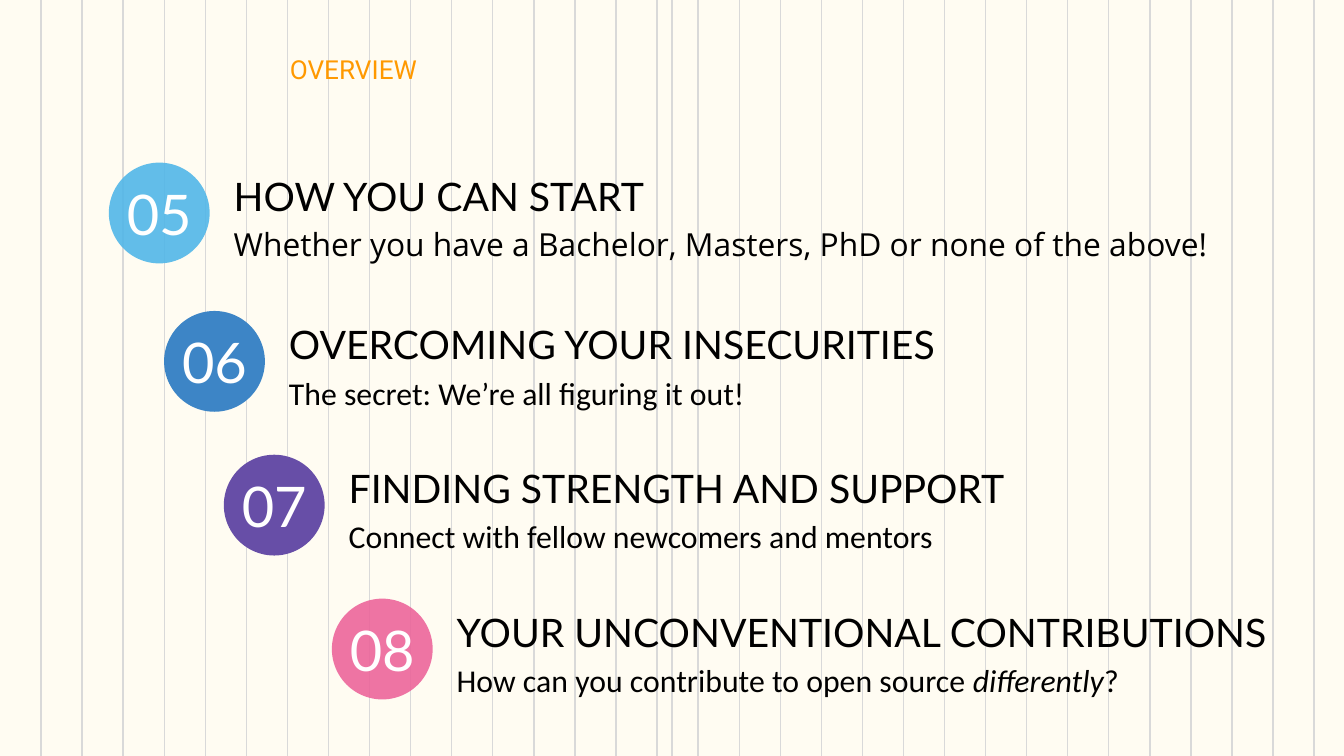
import pptx
import pptx.dml.color
import pptx.enum.shapes
import pptx.enum.text
import pptx.oxml
import pptx.oxml.ns
import pptx.util

Pt = pptx.util.Pt
ALIGN = pptx.enum.text.PP_ALIGN
ANCHOR = pptx.enum.text.MSO_ANCHOR
NSDECL = pptx.oxml.ns.nsdecls("a")

WIDTH, HEIGHT = 720, 405
STRIPE_GAP = 22
CIRCLE = 54

# number, left, top, colour, opacity %, heading, heading width,
# detail runs as (text, italic), detail width, detail font
ITEMS = [
    ("05", 58.3, 87.1, "4FB6E8", 89, "HOW YOU CAN START", 406.8,
     [("Whether you have a Bachelor, Masters, PhD or none of the above!", False)],
     537.1, "Open Sans"),
    ("06", 87.9, 166.6, "3D85C6", 100, "OVERCOMING YOUR INSECURITIES", 500.4,
     [("The secret: We’re all figuring it out!", False)], 319, "Calibri"),
    ("07", 119.9, 243.6, "674EA7", 100, "FINDING STRENGTH AND SUPPORT", 455,
     [("Connect with fellow newcomers and mentors", False)], 486.7, "Calibri"),
    ("08", 177.8, 320.7, "EC6299", 88, "YOUR UNCONVENTIONAL CONTRIBUTIONS", 509,
     [("How can you contribute to open source ", False),
      ("differently", True), ("?", False)], 545, "Calibri"),
]


def rgb(value):
    return pptx.dml.color.RGBColor.from_string(value)


def write(tf, runs, font, size, color="000000", align=ALIGN.LEFT,
          anchor=ANCHOR.TOP, inset=7.2, spacing=None):
    """Fill a text frame with one paragraph of (text, italic) runs."""
    tf.word_wrap = True
    tf.auto_size = pptx.enum.text.MSO_AUTO_SIZE.NONE
    tf.vertical_anchor = anchor
    tf.margin_left = tf.margin_right = Pt(7.2)
    tf.margin_top = tf.margin_bottom = Pt(inset)
    p = tf.paragraphs[0]
    p.alignment = align
    p.line_spacing = spacing
    for text, italic in runs:
        r = p.add_run()
        r.text = text
        r.font.name = font
        r.font.size = Pt(size)
        r.font.italic = italic
        r.font.color.rgb = rgb(color)


class Deck:
    """Holds the presentation, its style and the current slide."""
    background = "FFFCF2"
    stripe = "D9D9D9"
    accent = "FF9900"
    display_font = "Lato"
    title_font = "Roboto"

    def __init__(self):
        self.prs = pptx.Presentation()
        self.prs.slide_width, self.prs.slide_height = Pt(WIDTH), Pt(HEIGHT)
        self.s = self.prs.slides.add_slide(self.prs.slide_layouts[5])
        fill = self.s.background.fill
        fill.solid()
        fill.fore_color.rgb = rgb(self.background)

    def vertical_line(self, x):
        line = self.s.shapes.add_connector(
            pptx.enum.shapes.MSO_CONNECTOR.STRAIGHT, Pt(x), Pt(0), Pt(x), Pt(HEIGHT))
        line.line.color.rgb = rgb(self.stripe)
        line.line.width = Pt(0.75)
        line._element.spPr.append(pptx.oxml.parse_xml(f"<a:effectLst {NSDECL}/>"))

    def title(self, text, x, y, w, h):
        sp = self.s.shapes.title
        sp.left, sp.top, sp.width, sp.height = Pt(x), Pt(y), Pt(w), Pt(h)
        write(sp.text_frame, [(text, False)], self.title_font, 14, self.accent,
              align=ALIGN.CENTER, inset=3.6)
        self.s.shapes._spTree.append(sp._element)  # in front of the stripes

    def circle(self, x, y, color, opacity):
        sp = self.s.shapes.add_shape(
            pptx.enum.shapes.MSO_SHAPE.OVAL, Pt(x), Pt(y), Pt(CIRCLE), Pt(CIRCLE))
        sp.shadow.inherit = False
        sp.line.fill.background()
        sp.fill.solid()
        sp.fill.fore_color.rgb = rgb(color)
        if opacity < 100:
            clr = sp._element.spPr.find(".//" + pptx.oxml.ns.qn("a:srgbClr"))
            clr.append(pptx.oxml.parse_xml(
                f'<a:alpha {NSDECL} val="{opacity * 1000}"/>'))

    def text(self, x, y, w, h, runs, font, size, **style):
        box = self.s.shapes.add_textbox(Pt(x), Pt(y), Pt(w), Pt(h))
        write(box.text_frame, runs, font, size, **style)

    def item(self, number, x, y, color, opacity, heading, heading_w,
             detail, detail_w, detail_font):
        self.circle(x, y, color, opacity)
        self.text(x - 4, y + 7, CIRCLE + 8, 40.3, [(number, False)],
                  self.display_font, 30, color="FFFFFF",
                  align=ALIGN.CENTER, anchor=ANCHOR.MIDDLE)
        self.text(x + 59.8, y - 2.6, heading_w, 40.3, [(heading, False)],
                  self.display_font, 21, anchor=ANCHOR.BOTTOM, spacing=0.9)
        self.text(x + 59.8, y + 26.2, detail_w, 26, detail, detail_font, 17)


def main():
    deck = Deck()
    for i in range(1, 33):
        deck.vertical_line(i * STRIPE_GAP)
    deck.vertical_line(WIDTH / 2)
    for item in ITEMS:
        deck.item(*item)
    deck.title("OVERVIEW", 21.6, 25.2, 335.5, 49)
    deck.prs.save("out.pptx")


if __name__ == "__main__":
    main()
